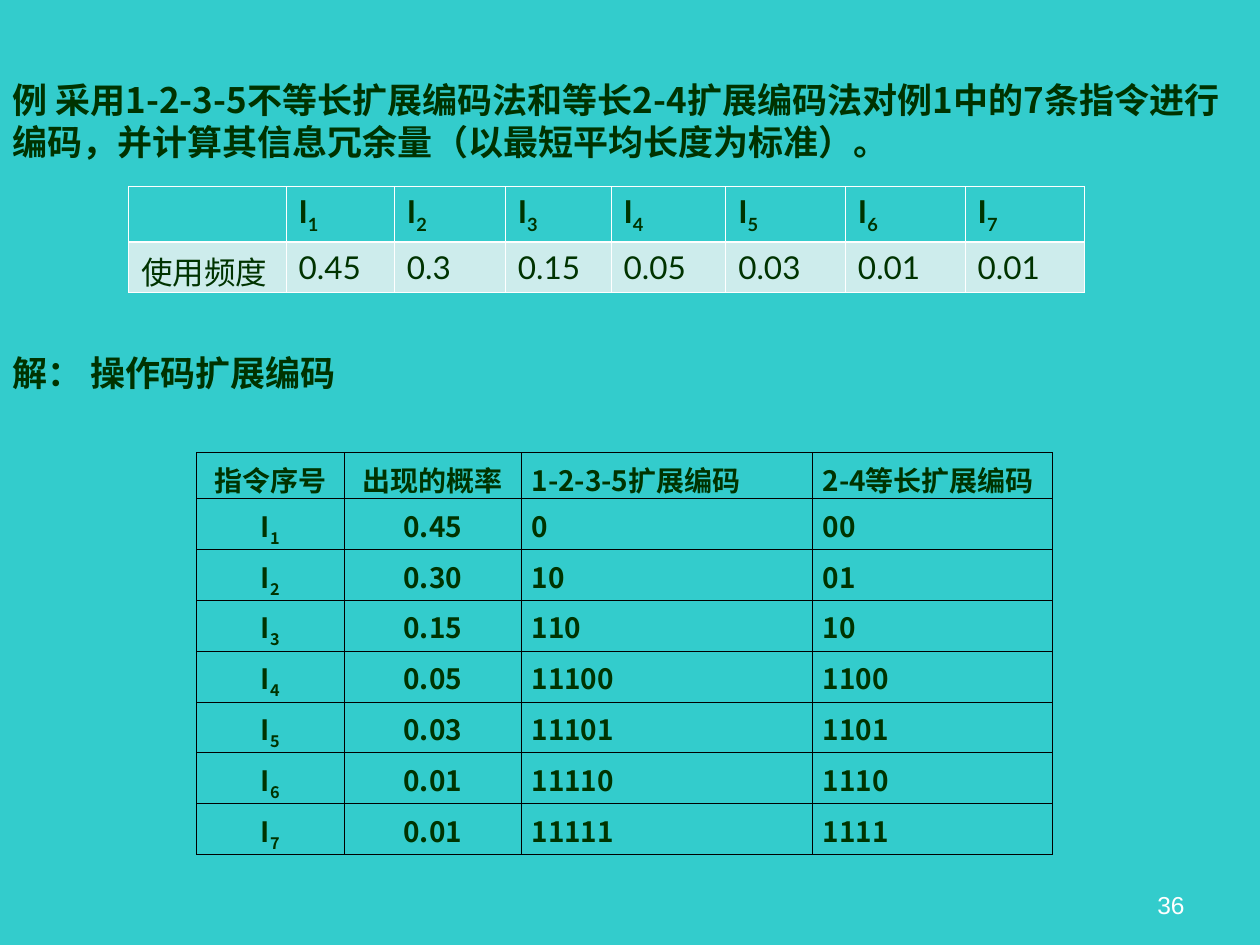
from lxml import etree
from pptx import Presentation
from pptx.dml.color import RGBColor
from pptx.enum.text import MSO_ANCHOR, PP_ALIGN
from pptx.oxml.ns import qn
from pptx.util import Inches, Pt

LEFT, CENTER, RIGHT, JUSTIFY = PP_ALIGN.LEFT, PP_ALIGN.CENTER, PP_ALIGN.RIGHT, PP_ALIGN.JUSTIFY
TOP, MIDDLE, BOTTOM = MSO_ANCHOR.TOP, MSO_ANCHOR.MIDDLE, MSO_ANCHOR.BOTTOM
CJK, LATO, ARIAL = "Noto Sans CJK SC", "Lato", "Arial"
TEAL, PALE, GREEN, WHITE, BLACK = "33CCCC", "CDECEC", "003300", "FFFFFF", "000000"


def rgb(color):
    return RGBColor.from_string(color)


def write(tf, text, size, font, bold=False, align=LEFT, color=GREEN):
    p = tf.paragraphs[0]
    p.alignment = align
    parts = ["I", text[1:]] if text.startswith("I") else [text]
    for i, part in enumerate(parts):
        r = p.add_run()
        r.text = part
        r.font.size = Pt(size)
        r.font.bold = bold
        r.font.name = font
        r.font.color.rgb = rgb(color)
        etree.SubElement(r.font._element, qn("a:ea")).set("typeface", CJK)
        if i:
            r.font._element.set("baseline", "-25000")


prs = Presentation()
prs.slide_width, prs.slide_height = Inches(10), Inches(7.5)
s = prs.slides.add_slide(prs.slide_layouts[6])
s.background.fill.solid()
s.background.fill.fore_color.rgb = rgb(TEAL)

question = "例 采用1-2-3-5不等长扩展编码法和等长2-4扩展编码法对例1中的7条指令进行编码，并计算其信息冗余量（以最短平均长度为标准）。"
texts = [
    (7.17, 6.83, 2.33, 0.52, BOTTOM, "36", 14, ARIAL, False, RIGHT, WHITE),
    (0, 0.57, 10, 0.77, MIDDLE, question, 20, CJK, True, LEFT, GREEN),
    (0, 2.74, 10, 0.44, MIDDLE, "解： 操作码扩展编码", 20, CJK, True, LEFT, GREEN),
]
for x, y, w, h, anchor, text, size, font, bold, align, color in texts:
    tf = s.shapes.add_textbox(Inches(x), Inches(y), Inches(w), Inches(h)).text_frame
    tf.word_wrap = True
    tf.vertical_anchor = anchor
    write(tf, text, size, font, bold, align, color)

names = [f"I{i}" for i in range(1, 8)]
frequencies = ["使用频度", "0.45", "0.3", "0.15", "0.05", "0.03", "0.01", "0.01"]
probabilities = ["0.45", "0.30", "0.15", "0.05", "0.03", "0.01", "0.01"]
codes_1235 = ["0", "10", "110", "11100", "11101", "11110", "11111"]
codes_24 = ["00", "01", "10", "1100", "1101", "1110", "1111"]
code_rows = [("指令序号", "出现的概率", "1-2-3-5扩展编码", "2-4等长扩展编码")]
code_rows += zip(names, probabilities, codes_1235, codes_24)

tables = [
    dict(at=(1.02, 1.48), cols=[1.25, 0.86, 0.88, 0.84, 0.91, 0.95, 0.95, 0.95], heights=[0.44, 0.4],
         rows=[[""] + names, frequencies], fills=[TEAL, PALE], line=WHITE, rule=1.47,
         size=18, font=LATO, bolds=[True, False], aligns=[LEFT] * 8, anchor=TOP, inset=0.1),
    dict(at=(1.56, 3.59), cols=[1.17, 1.41, 2.31, 1.9], heights=[0.34] * 8,
         rows=code_rows, fills=[None] * 8, line=BLACK, rule=0.45,
         size=16, font=CJK, bolds=[True] * 8, aligns=[CENTER, CENTER, JUSTIFY, JUSTIFY],
         anchor=MIDDLE, inset=0.08),
]
for t in tables:
    x, y = t["at"]
    tbl = s.shapes.add_table(len(t["rows"]), len(t["cols"]), Inches(x), Inches(y),
                             Inches(sum(t["cols"])), Inches(sum(t["heights"]))).table
    for col, width in zip(tbl.columns, t["cols"]):
        col.width = Inches(width)
    for i, row in enumerate(t["rows"]):
        tbl.rows[i].height = Inches(t["heights"][i])
        for j, text in enumerate(row):
            cell = tbl.cell(i, j)
            cell.vertical_anchor = t["anchor"]
            cell.margin_left = cell.margin_right = Inches(t["inset"])
            tcPr = cell._tc.get_or_add_tcPr()
            for side in ("L", "R", "T", "B"):
                ruled = (i, side) in ((0, "B"), (1, "T"))
                ln = etree.SubElement(tcPr, qn(f"a:ln{side}"), w=str(Pt(t["rule"] if ruled else 0.45)))
                etree.SubElement(etree.SubElement(ln, qn("a:solidFill")), qn("a:srgbClr"), val=t["line"])
            if t["fills"][i]:
                cell.fill.solid()
                cell.fill.fore_color.rgb = rgb(t["fills"][i])
            else:
                cell.fill.background()
            if text:
                write(cell.text_frame, text, t["size"], t["font"], t["bolds"][i], t["aligns"][j])

prs.save("out.pptx")
